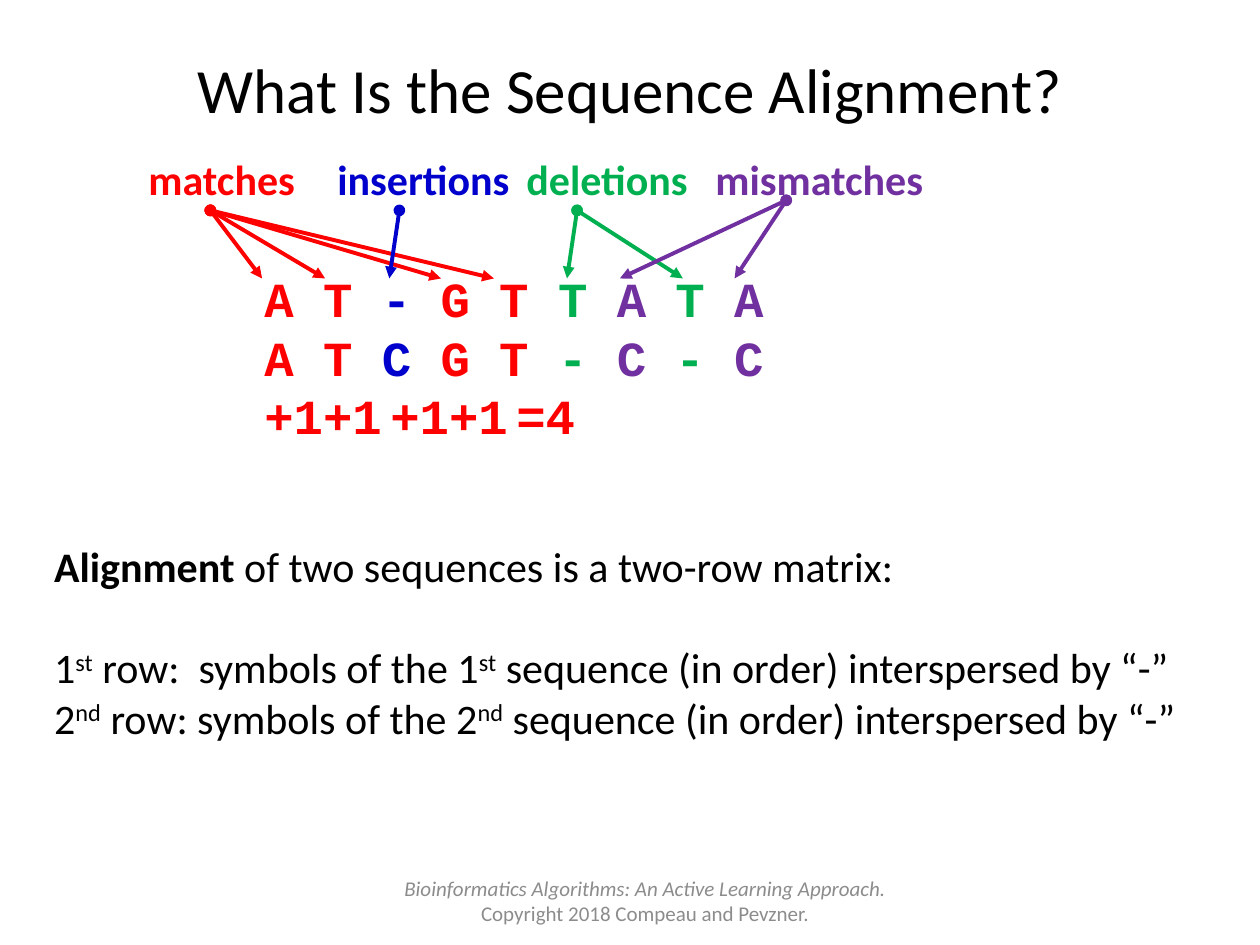
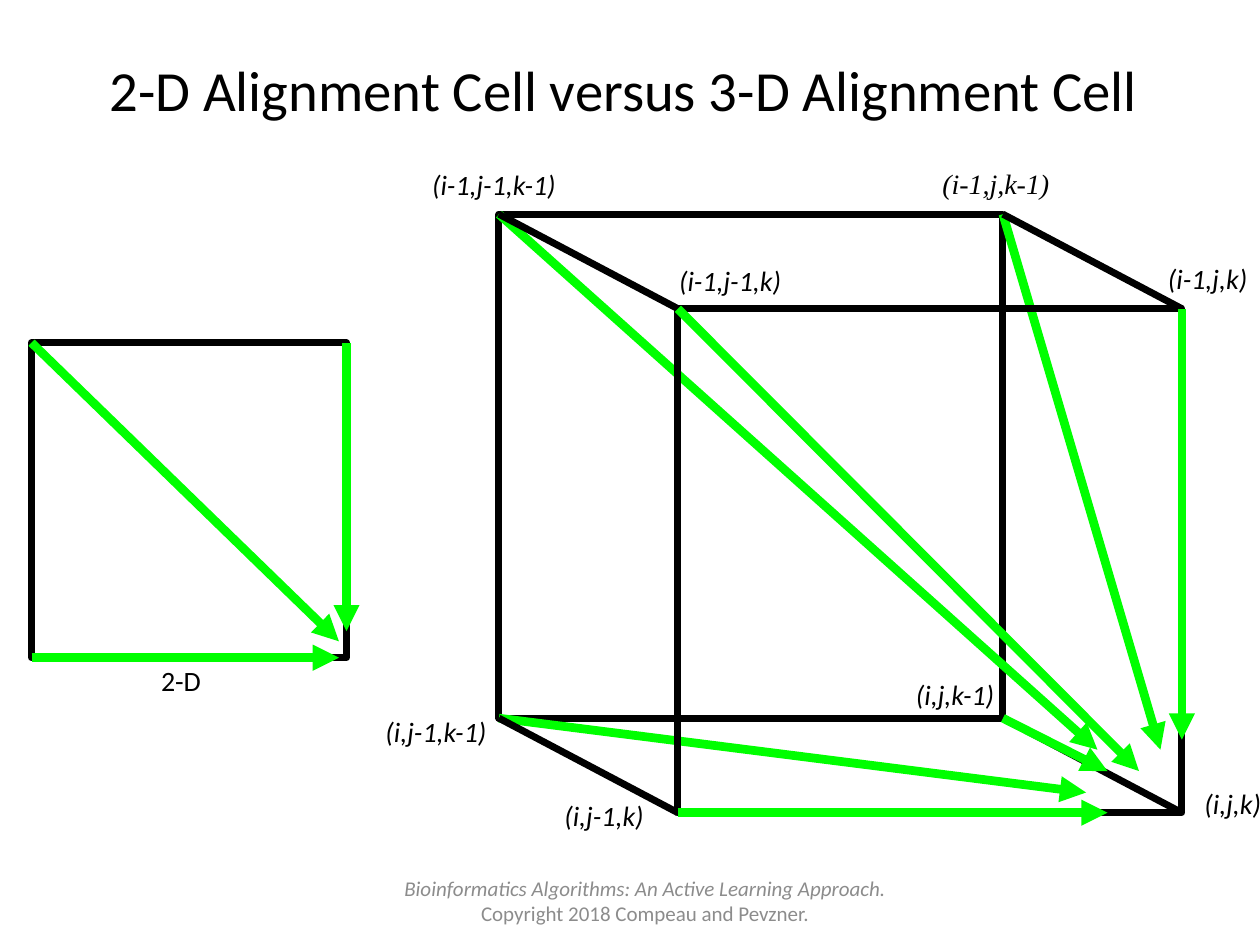
from pptx import Presentation
from pptx.dml.color import RGBColor
from pptx.enum import shapes, text
from pptx.oxml.ns import qn
from pptx.util import Pt
from lxml import etree

PX = 9144  # EMU per px, 100 px to the inch
COLOURS = {
    "ink": "000000", "footer": "8C8C8C", "path": "00FF00",
    "match": "FF0000", "insertion": "0000CC",
    "deletion": "00B050", "mismatch": "7030A0",
}
LEFT, CENTRE = text.PP_ALIGN.LEFT, text.PP_ALIGN.CENTER
TOP, MIDDLE = text.MSO_ANCHOR.TOP, text.MSO_ANCHOR.MIDDLE


def rgb(name):
    return RGBColor.from_string(COLOURS[name])


def write(frame, paragraphs, align=LEFT, anchor=TOP, wrap=True, inset=10,
          before=(), tabs=(), **font):
    """Fill a frame; a paragraph is a list of runs, a run is a string or
    (string, font overrides). before and tabs hold one entry per paragraph."""
    frame.auto_size = text.MSO_AUTO_SIZE.NONE
    frame.word_wrap, frame.vertical_anchor = wrap, anchor
    frame.margin_left = frame.margin_right = inset * PX
    for number, runs in enumerate(paragraphs):
        paragraph = frame.add_paragraph() if number else frame.paragraphs[0]
        paragraph.alignment = align
        paragraph.space_before = Pt(before[number] if before else 0)
        properties = paragraph._p.get_or_add_pPr()
        properties.set("marL", "0")
        properties.set("indent", "0")
        etree.SubElement(properties, qn("a:buNone"))
        if tabs:
            stops = etree.SubElement(properties, qn("a:tabLst"))
            for stop in tabs[number]:
                etree.SubElement(stops, qn("a:tab"), pos=str(round(stop * PX)), algn="l")
        for run in runs:
            words, changes = (run, {}) if isinstance(run, str) else run
            add_run(paragraph, words, **{**font, **changes})


def add_run(paragraph, words, size=24, face="Calibri", colour="ink",
            bold=False, italic=False, raised=False):
    run = paragraph.add_run()
    run.text = words
    run.font.size, run.font.name = Pt(size), face
    run.font.bold, run.font.italic = bold, italic
    run.font.color.rgb = rgb(colour)
    if raised:
        run._r.get_or_add_rPr().set("baseline", "30000")


class Deck:
    def __init__(self):
        self.show = Presentation()
        self.show.slide_width, self.show.slide_height = 1000 * PX, 750 * PX
        self.slide = None

    def start(self, layout, title, size):
        """Add a slide with its title and the shared footer."""
        self.slide = self.show.slides.add_slide(self.show.slide_layouts[layout])
        self.fill(0, (50, 8, 900, 125), [[title]], size=size,
                  align=CENTRE, anchor=MIDDLE)
        self.words((283, 695, 458, 40), [
            [("Bioinformatics Algorithms: An Active Learning Approach.", {"italic": True})],
            ["Copyright 2018 Compeau and Pevzner."],
        ], size=12, colour="footer", align=CENTRE, anchor=MIDDLE)

    def fill(self, index, box, paragraphs, **style):
        """Move and fill a placeholder of the layout."""
        holder = self.slide.placeholders[index]
        holder.left, holder.top, holder.width, holder.height = (v * PX for v in box)
        write(holder.text_frame, paragraphs, **style)

    def words(self, box, paragraphs, **style):
        holder = self.slide.shapes.add_textbox(*(v * PX for v in box))
        write(holder.text_frame, paragraphs, **style)

    def square(self, corner, side):
        x, y = corner
        outline = self.slide.shapes.add_shape(
            shapes.MSO_SHAPE.RECTANGLE, x * PX, y * PX, side * PX, side * PX)
        outline.shadow.inherit = False
        outline.fill.background()
        outline.line.color.rgb, outline.line.width = rgb("ink"), Pt(4)

    def line(self, start, end, colour="ink", width=4, head=None, tail=None):
        stroke = self.slide.shapes.add_connector(
            shapes.MSO_CONNECTOR.STRAIGHT, *(v * PX for v in (*start, *end)))
        stroke.line.color.rgb, stroke.line.width = rgb(colour), Pt(width)
        ends = stroke.line._get_or_add_ln()
        for tag, kind in (("a:headEnd", head), ("a:tailEnd", tail)):
            if kind:
                etree.SubElement(ends, qn(tag), type=kind)
        etree.SubElement(stroke._element.spPr, qn("a:effectLst"))

    def move(self, start, end):
        """Draw an arrow for one step of an alignment path."""
        self.line(start, end, "path", 5, tail="triangle")


def alignment_slide(deck):
    deck.start(1, "What Is the Sequence Alignment?", 36)

    columns = ["match", "match", "insertion", "match", "match",
               "deletion", "mismatch", "deletion", "mismatch"]
    rows = [["\t"] + [(symbol + " " * (place < 8), {"colour": kind})
                      for place, (symbol, kind) in enumerate(zip(row, columns))]
            for row in ("AT-GTTATA", "ATCGT-C-C")]
    scores = [("\t+1+1\t+1+1\t=4", {"colour": "match"})]
    letter = 28 * 0.6 / 72 * 100  # advance of one 28 pt Courier New character
    stops = [[letter * place for place in places] for places in ([2], [2], [1, 7, 19])]
    deck.words((150, 208, 650, 145), rows + [scores], tabs=stops,
               size=28, face="Courier New", bold=True)

    raised = {"raised": True}
    rule = " sequence (in order) interspersed by “-”"
    deck.fill(1, (33, 424, 958, 212), [
        [("Alignment", {"bold": True}), " of two sequences is a two-row matrix:"],
        ["1", ("st", raised), " row:  symbols of the 1", ("st", raised), rule],
        ["2", ("nd", raised), " row: symbols of the 2", ("nd", raised), rule],
    ], before=(0, 29, 0))

    legend = [(("\t" if place else "") + kind + ("es" if kind.endswith("match") else "s"),
               {"colour": kind})
              for place, kind in enumerate(("match", "insertion", "deletion", "mismatch"))]
    deck.words((108, 117, 650, 50), [legend], tabs=[[132, 283, 426]], bold=True)

    fans = {
        "match": ((167, 167), (208, 392, 350, 258)),
        "insertion": ((317, 167), (309,)),
        "deletion": ((458, 167), (450, 542)),
        "mismatch": ((624, 159), (583, 492)),
    }
    for kind, (origin, targets) in fans.items():
        for x in targets:
            deck.line(origin, (x, 221), kind, 2.25, "oval", "triangle")


def cells_slide(deck):
    deck.start(5, "2-D Alignment Cell versus 3-D Alignment Cell ", 32.4)

    side, depth = 400, (142, 75)
    back = [(x, y) for y in (170, 170 + side) for x in (396, 396 + side)]
    front = [(x + depth[0], y + depth[1]) for x, y in back]
    deck.square(back[0], side)
    for start, end in ((back[1], (921, 595)), (back[0], (871, 595)),
                       (back[2], (862, 629))):
        deck.move(start, end)
    deck.square(front[0], side)
    for edge in zip(back, front):
        deck.line(*edge)
    for start, end in ((back[3], (879, 612)), (front[2], (879, 645)),
                       (front[1], (938, 587)), (front[0], (904, 612))):
        deck.move(start, end)

    corners = {
        "(i-1,j-1,k-1)": (343, 128), "(i,j-1,k-1)": (306, 562),
        "(i,j-1,k)": (448, 629), "(i-1,j-1,k)": (539, 204),
        "(i-1,j,k)": (927, 203), "(i,j,k)": (956, 619),
        "(i-1,j,k-1)": (748, 127), "(i,j,k-1)": (727, 533),
    }
    for corner, (x, y) in corners.items():
        face = "Times New Roman" if corner == "(i-1,j,k-1)" else "Calibri"
        deck.words((x, y, min(130, 1000 - x), 37), [[corner]], size=16,
                   face=face, italic=True, wrap=False, inset=0)

    left, top, flat = 25, 272, 250
    right, bottom = left + flat, top + flat
    deck.square((left, top), flat)
    deck.move((right, top), (right, 501))
    deck.move((left, top), (269, 509))
    deck.move((left, bottom), (269, bottom))
    deck.words((118, bottom, 52, 37), [["2-D"]], size=16, wrap=False)


def main():
    deck = Deck()
    alignment_slide(deck)
    cells_slide(deck)
    deck.show.save("out.pptx")


if __name__ == "__main__":
    main()
